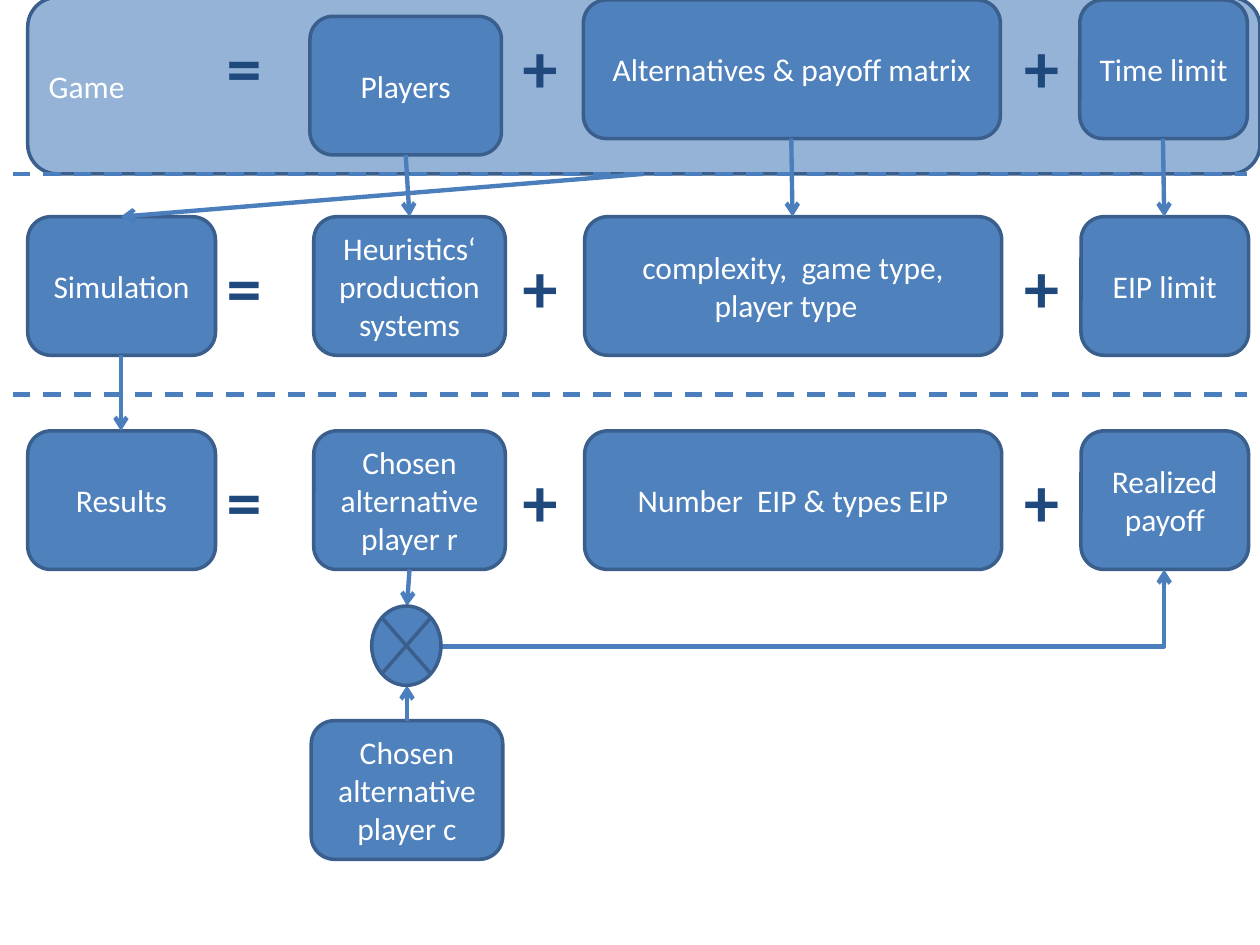
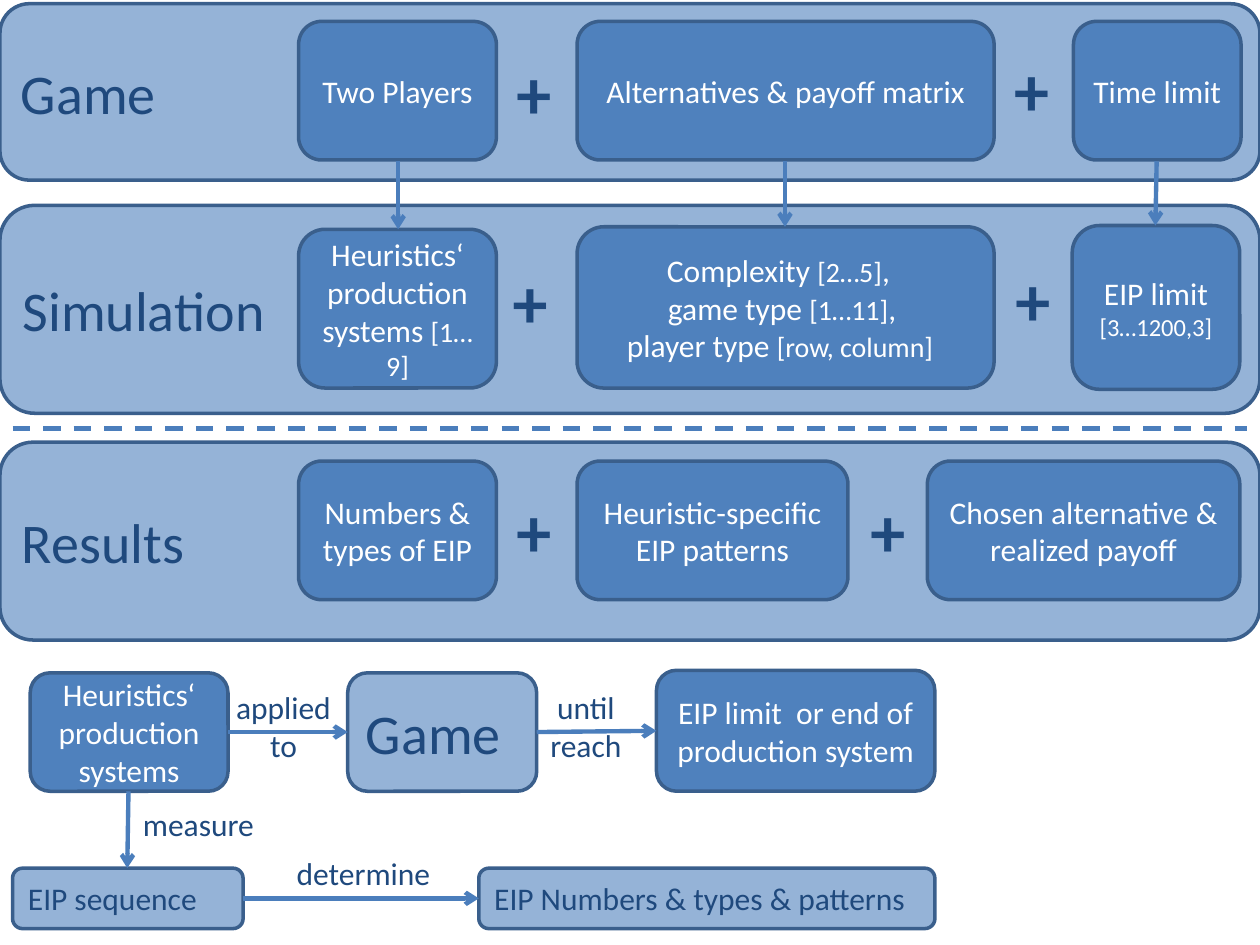
"""Build two flow slides that map a game to its simulation and results."""
import pptx
import pptx.util
import pptx.dml.color
import pptx.enum.dml
import pptx.enum.shapes
import pptx.enum.text
import lxml.etree

PX = 9144
HUE = {"box": "4F81BD", "band": "95B3D7", "edge": "3A5F8C",
       "link": "4B7EBC", "dark": "1F497D", "white": "FFFFFF"}
FONT = "Calibri"
ALIGN = pptx.enum.text.PP_ALIGN
FORM = pptx.enum.shapes.MSO_SHAPE
WIRE = pptx.enum.shapes.MSO_CONNECTOR


def block(slide, rect, text="", fill="box", ink="white", size=18,
          align=ALIGN.CENTER, bold=False, form=FORM.ROUNDED_RECTANGLE):
    """Add a filled shape, or a text box when fill is None."""
    spot = [n * PX for n in rect]
    if fill:
        shape = slide.shapes.add_shape(form, *spot)
        shape.shadow.inherit = False
        shape.fill.solid()
        shape.fill.fore_color.rgb = pptx.dml.color.RGBColor.from_string(HUE[fill])
        shape.line.color.rgb = pptx.dml.color.RGBColor.from_string(HUE["edge"])
        shape.line.width = pptx.util.Pt(2)
    else:
        shape = slide.shapes.add_textbox(*spot)
    frame = shape.text_frame
    frame.word_wrap = True
    if fill:
        frame.vertical_anchor = pptx.enum.text.MSO_ANCHOR.MIDDLE
    rows = [[(text, size)]] if isinstance(text, str) else text
    for i, row in enumerate(rows):
        para = frame.add_paragraph() if i else frame.paragraphs[0]
        para.alignment = align
        for words, high in row:
            if words:
                run = para.add_run()
                run.text = words
                run.font.name = FONT
                run.font.size = pptx.util.Pt(high)
                run.font.bold = bold
                run.font.color.rgb = pptx.dml.color.RGBColor.from_string(HUE[ink])


def link(slide, ends, dash=False, bent=False):
    """Add an arrow, or a dashed divider when dash is set."""
    kind = WIRE.ELBOW if bent else WIRE.STRAIGHT
    wire = slide.shapes.add_connector(kind, *[n * PX for n in ends])
    wire.line.color.rgb = pptx.dml.color.RGBColor.from_string(HUE["link"])
    wire.line.width = pptx.util.Pt(2.5)
    props = wire._element.spPr
    space = "{" + props.nsmap["a"] + "}"
    if bent:
        props.find(space + "prstGeom").set("prst", "bentConnector2")
    if dash:
        wire.line.dash_style = pptx.enum.dml.MSO_LINE.DASH
    else:
        lxml.etree.SubElement(props.find(space + "ln"), space + "tailEnd", type="arrow")
    lxml.etree.SubElement(props, space + "effectLst")


deck = pptx.Presentation()
deck.slide_width = 1000 * PX
deck.slide_height = 750 * PX
blank = deck.slide_layouts[6]
sign = {"fill": None, "ink": "dark", "size": 40, "bold": True, "align": ALIGN.LEFT}
head = {"fill": "band", "ink": "dark", "size": 32, "align": ALIGN.LEFT}

model = deck.slides.add_slide(blank)
block(model, (22, -2, 978, 140), "Game", fill="band", align=ALIGN.LEFT)
for x, y, wide, text in [(246, 13, 152, "Players"),
                         (463, 0, 331, "Alternatives & payoff matrix"),
                         (857, 0, 133, "Time limit"),
                         (247, 572, 152, "Chosen alternative player c")]:
    block(model, (x, y, wide, 110), text)

cols = [(22, 149), (249, 152), (464, 331), (858, 133)]
grid = {172: ["Simulation", "Heuristics‘ production systems",
              "complexity,  game type, player type  ", "EIP limit"],
        342: ["Results", "Chosen alternative player r",
              "Number  EIP & types EIP", "Realized payoff"]}
for y, texts in grid.items():
    for (x, wide), text in zip(cols, texts):
        block(model, (x, y, wide, 110), text)

for y in (14, 188, 358):
    for x, mark in [(170, "="), (405, "+"), (803, "+")]:
        block(model, (x, y, 63, 77), mark, **sign)

for y in (138, 313):
    link(model, (10, y, 990, y), dash=True)
for ends in [(322, 123, 325, 172), (628, 110, 629, 172), (923, 110, 924, 172),
             (96, 282, 96, 342), (511, 138, 96, 172),
             (325, 452, 323, 481), (323, 572, 323, 544)]:
    link(model, ends)
link(model, (351, 513, 924, 452), bent=True)
block(model, (295, 481, 55, 63), form=FORM.FLOWCHART_SUMMING_JUNCTION)

study = deck.slides.add_slide(blank)
for y, high, text in [(351, 157, "Results"), (163, 165, "Simulation"), (3, 140, "Game")]:
    block(study, (0, y, 1000, high), text, **head)

for rect, text in [
        ((237, 17, 157, 110), "Two Players"),
        ((458, 17, 331, 110), "Alternatives & payoff matrix"),
        ((852, 17, 133, 110), "Time limit"),
        ((237, 182, 157, 126), [[("Heuristics‘ production systems ", 18), ("[1…9]", 16)]]),
        ((458, 180, 331, 128), [[("Complexity ", 18), ("[2…5]", 16), (",  ", 18)],
                                [("game type ", 18), ("[1…11]", 16), (", ", 18)],
                                [("player type ", 18), ("[row, column]", 16), ("  ", 14)]]),
        ((851, 179, 133, 130), [[("EIP limit ", 18), ("[3…1200,3]", 14)]]),
        ((237, 366, 157, 110), "Numbers & types of EIP"),
        ((458, 366, 215, 110), "Heuristic-specific EIP patterns"),
        ((736, 366, 248, 110), "Chosen alternative & realized payoff"),
        ((24, 534, 157, 94), "Heuristics‘ production systems"),
        ((521, 532, 221, 96), "EIP limit  or end of production system")]:
    block(study, rect, text)

block(study, (276, 534, 150, 94), "Game", **head)
for x, wide, text in [(10, 183, "EIP sequence"),
                      (380, 362, "EIP Numbers & types & patterns")]:
    block(study, (x, 689, wide, 48), text, **{**head, "size": 18})

for x, y in [(400, 34), (795, 32), (397, 200), (796, 199), (400, 382), (681, 382)]:
    block(study, (x, y, 63, 77), "+", **sign)

link(study, (10, 340, 990, 340), dash=True)
for ends in [(316, 128, 316, 182), (623, 128, 623, 180), (918, 128, 917, 179),
             (181, 581, 276, 581), (426, 581, 521, 580),
             (102, 628, 101, 689), (193, 713, 380, 713)]:
    link(study, ends)

for rect, text in [((177, 541, 96, 71), "applied to"), ((417, 541, 96, 71), "until reach"),
                   ((99, 634, 117, 40), "measure"), ((220, 673, 137, 40), "determine")]:
    block(study, rect, text, fill=None, ink="dark")

deck.save("out.pptx")
